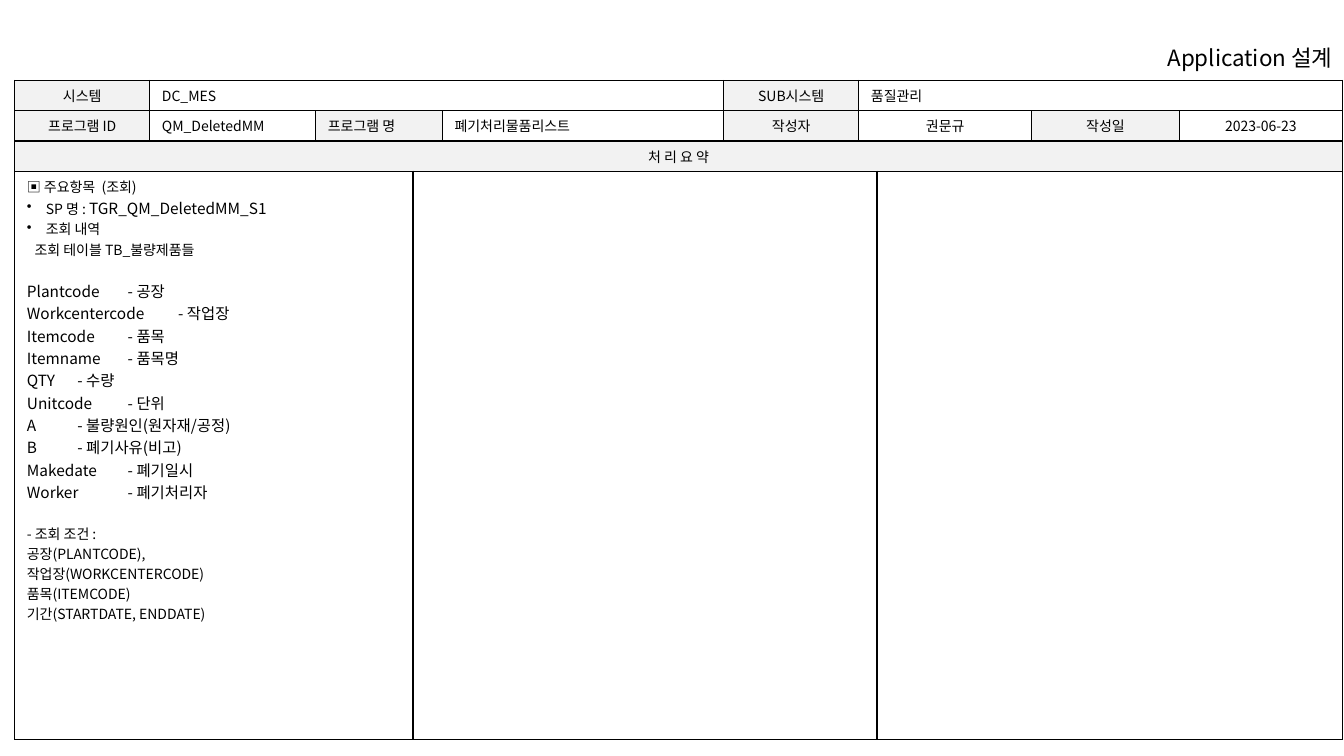
from pptx import Presentation
from pptx.dml.color import RGBColor
from pptx.enum.text import MSO_ANCHOR, PP_ALIGN
from pptx.oxml.ns import qn
from pptx.util import Pt
from lxml.etree import SubElement

FONT = "Noto Sans CJK KR"
BLACK = RGBColor(0, 0, 0)
WHITE = RGBColor(255, 255, 255)
LABEL_GRAY = RGBColor(242, 242, 242)
LEFT, CENTER, RIGHT = PP_ALIGN.LEFT, PP_ALIGN.CENTER, PP_ALIGN.RIGHT
TOP, MIDDLE = MSO_ANCHOR.TOP, MSO_ANCHOR.MIDDLE
TITLE_ONLY = 5

COLUMN_WIDTHS = [96.5, 118.5, 69.5, 21, 201, 96.5, 13, 110.5, 105.5, 116.5]
ROW_HEIGHTS = [20, 20, 20, 406]
BLOCK_GAP = 14.5
FIELD_TAB = 86.5

HEADER_CELLS = [
    (0, 0, 1, "시스템", CENTER, LABEL_GRAY),
    (0, 1, 4, "DC_MES", LEFT, WHITE),
    (0, 5, 1, "SUB시스템", CENTER, LABEL_GRAY),
    (0, 6, 4, "품질관리", LEFT, WHITE),
    (1, 0, 1, "프로그램 ID", CENTER, LABEL_GRAY),
    (1, 1, 1, "QM_DeletedMM", LEFT, WHITE),
    (1, 2, 2, "프로그램 명", LEFT, LABEL_GRAY),
    (1, 4, 1, "폐기처리물품리스트", LEFT, WHITE),
    (1, 5, 1, "작성자", CENTER, LABEL_GRAY),
    (1, 6, 2, "권문규", CENTER, WHITE),
    (1, 8, 1, "작성일", CENTER, LABEL_GRAY),
    (1, 9, 1, "2023-06-23", CENTER, WHITE),
    (2, 0, 10, "처 리 요 약", CENTER, LABEL_GRAY),
]
BODY_SPANS = [(0, 3), (3, 4), (7, 3)]

FIELDS = [
    ("Plantcode", "공장"),
    ("Workcentercode", "작업장"),
    ("Itemcode", "품목"),
    ("Itemname", "품목명"),
    ("QTY", "수량"),
    ("Unitcode", "단위"),
    ("A", "불량원인(원자재/공정)"),
    ("B", "폐기사유(비고)"),
    ("Makedate", "폐기일시"),
    ("Worker", "폐기처리자"),
]
CONDITIONS = [
    "공장(PLANTCODE),",
    "작업장(WORKCENTERCODE)",
    "품목(ITEMCODE)",
    "기간(STARTDATE, ENDDATE)",
]


def add_text(paragraph, text, size=10, align=LEFT, before=0,
             margin=0, hanging=0, bullet=None, tab=None):
    paragraph.alignment = align
    paragraph.space_before = Pt(before)
    properties = paragraph._p.get_or_add_pPr()
    properties.set("marL", str(Pt(margin)))
    properties.set("indent", str(-Pt(hanging)))
    if bullet:
        SubElement(properties, qn("a:buChar"), char=bullet)
    if tab:
        tabs = SubElement(properties, qn("a:tabLst"))
        SubElement(tabs, qn("a:tab"), pos=str(Pt(tab)), algn="l")
    run = paragraph.add_run()
    run.text = text
    run.font.size = Pt(size)
    run.font.color.rgb = BLACK
    run.font.name = FONT
    SubElement(run._r.get_or_add_rPr(), qn("a:ea"), typeface=FONT)


def format_cell(cell):
    cell.margin_left = cell.margin_right = Pt(8.75)
    cell.margin_top = cell.margin_bottom = Pt(3.6)
    cell.vertical_anchor = TOP
    properties = cell._tc.get_or_add_tcPr()
    for side in ("a:lnL", "a:lnR", "a:lnT", "a:lnB"):
        line = SubElement(properties, qn(side), w=str(Pt(1)))
        fill = SubElement(line, qn("a:solidFill"))
        SubElement(fill, qn("a:srgbClr"), val=str(BLACK))
    cell.fill.solid()
    cell.fill.fore_color.rgb = WHITE


def merge_across(table, row, column, span):
    cell = table.cell(row, column)
    if span > 1:
        cell.merge(table.cell(row, column + span - 1))
    return cell


def fill_summary(text_frame):
    add_text(text_frame.paragraphs[0], "▣ 주요항목  (조회)")
    procedure = text_frame.add_paragraph()
    add_text(procedure, "SP 명 : ", margin=13.5, hanging=13.5, bullet="•")
    name = procedure.add_run()
    name.text = "TGR_QM_DeletedMM_S1"
    name.font.size = Pt(11)
    name.font.color.rgb = BLACK
    name.font.name = FONT
    add_text(text_frame.add_paragraph(), "조회 내역",
             margin=13.5, hanging=13.5, bullet="•")
    add_text(text_frame.add_paragraph(), "조회 테이블 TB_불량제품들", margin=5.5)
    for index, (field, meaning) in enumerate(FIELDS):
        add_text(text_frame.add_paragraph(), f"{field}\t- {meaning}", size=11,
                 before=0 if index else BLOCK_GAP, tab=FIELD_TAB)
    add_text(text_frame.add_paragraph(), "- 조회 조건 :", before=BLOCK_GAP)
    for condition in CONDITIONS:
        add_text(text_frame.add_paragraph(), condition)


def add_title(slide, left, top, width, height):
    title = slide.shapes.title
    title.left, title.top = Pt(left), Pt(top)
    title.width, title.height = Pt(width), Pt(height)
    text_frame = title.text_frame
    text_frame.vertical_anchor = MIDDLE
    text_frame.word_wrap = True
    add_text(text_frame.paragraphs[0], "Application 설계", size=16, align=RIGHT)


def add_design_table(slide, left, top):
    table = slide.shapes.add_table(
        len(ROW_HEIGHTS), len(COLUMN_WIDTHS), Pt(left), Pt(top),
        Pt(sum(COLUMN_WIDTHS)), Pt(sum(ROW_HEIGHTS))).table
    table.first_row = False
    table.horz_banding = False
    for column, width in zip(table.columns, COLUMN_WIDTHS):
        column.width = Pt(width)
    for row, height in zip(table.rows, ROW_HEIGHTS):
        row.height = Pt(height)
        for cell in row.cells:
            format_cell(cell)
    for row, column, span, text, align, color in HEADER_CELLS:
        cell = merge_across(table, row, column, span)
        cell.fill.fore_color.rgb = color
        add_text(cell.text_frame.paragraphs[0], text, align=align)
    body_cells = [merge_across(table, 3, column, span) for column, span in BODY_SPANS]
    fill_summary(body_cells[0].text_frame)


def main():
    presentation = Presentation()
    presentation.slide_width, presentation.slide_height = Pt(960), Pt(540)
    slide = presentation.slides.add_slide(presentation.slide_layouts[TITLE_ONLY])
    add_title(slide, 745, 29, 214, 24)
    add_design_table(slide, 10.5, 57.5)
    presentation.save("out.pptx")


if __name__ == "__main__":
    main()
